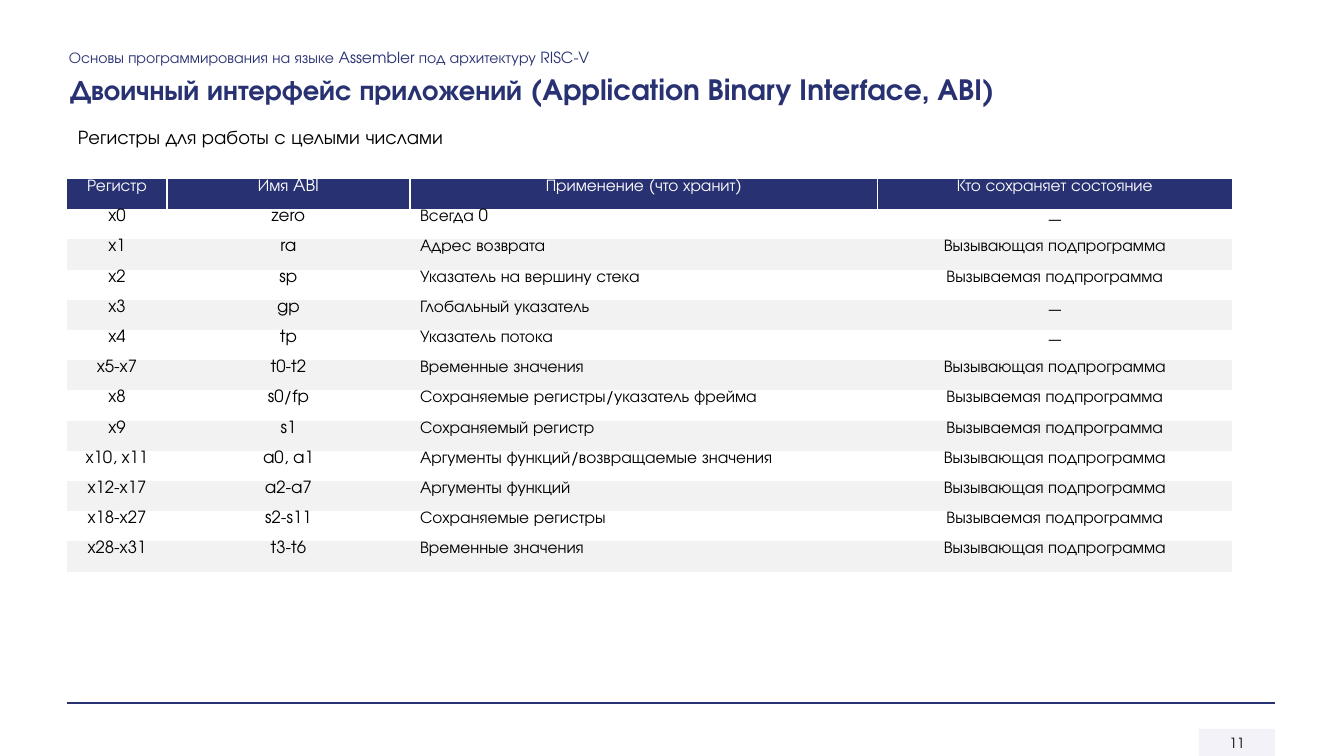
from lxml.etree import SubElement
from pptx import Presentation
from pptx.dml.color import RGBColor
from pptx.enum.shapes import MSO_CONNECTOR as CONN, MSO_SHAPE as SHAPE
from pptx.enum.text import MSO_ANCHOR as ANCHOR, MSO_AUTO_SIZE as AUTO, PP_ALIGN as ALIGN
from pptx.oxml import parse_xml
from pptx.oxml.ns import nsdecls, qn
from pptx.util import Emu, Pt

NAVY = RGBColor(0x28, 0x32, 0x72)
BLACK = RGBColor(0, 0, 0)
WHITE = RGBColor(0xFF, 0xFF, 0xFF)
STRIPE = RGBColor(0xF2, 0xF2, 0xF2)
LILAC = RGBColor(0xF3, 0xF1, 0xF9)
FONT = "TeX Gyre Adventor"
DASH_FONT = "Calibri"
NO_STYLE = "{2D5ABB26-0587-4C30-8999-92F81FD0307C}"

DASH = "—"
CALLER = "Вызывающая подпрограмма"
CALLEE = "Вызываемая подпрограмма"
COLUMNS = [100, 243, 468, 354]
REGISTERS = [
    ("Регистр", "Имя ABI", "Применение (что хранит)", "Кто сохраняет состояние"),
    ("x0", "zero", "Всегда 0", DASH),
    ("x1", "ra", "Адрес возврата", CALLER),
    ("x2", "sp", "Указатель на вершину стека", CALLEE),
    ("x3", "gp", "Глобальный указатель", DASH),
    ("x4", "tp", "Указатель потока", DASH),
    ("x5-x7", "t0-t2", "Временные значения", CALLER),
    ("x8", "s0/fp", "Сохраняемые регистры/указатель фрейма", CALLEE),
    ("x9", "s1", "Сохраняемый регистр", CALLEE),
    ("x10, x11", "a0, a1", "Аргументы функций/возвращаемые значения", CALLER),
    ("x12-x17", "a2-a7", "Аргументы функций", CALLER),
    ("x18-x27", "s2-s11", "Сохраняемые регистры", CALLEE),
    ("x28-x31", "t3-t6", "Временные значения", CALLER),
]


def px(n):
    """Turn slide pixels into EMU."""
    return Emu(round(n * 914400 / 100.8))


def write(tf, text, size, color, align=ALIGN.LEFT, bold=False, font=FONT):
    """Put one formatted run into the first paragraph."""
    p = tf.paragraphs[0]
    p.alignment = align
    r = p.add_run()
    r.text = text
    r.font.name = font
    r.font.size = Pt(size)
    r.font.bold = bold
    r.font.color.rgb = color


def add_label(s, box, text, size, color, wrap):
    """Add a single-line text box."""
    tf = s.shapes.add_textbox(*map(px, box)).text_frame
    tf.word_wrap = wrap
    write(tf, text, size, color)


def set_title(s, box, text):
    """Move the title placeholder and fill it."""
    sp = s.shapes.title
    sp.left, sp.top, sp.width, sp.height = map(px, box)
    tf = sp.text_frame
    tf.word_wrap = False
    tf.auto_size = AUTO.NONE
    tf.vertical_anchor = ANCHOR.TOP
    write(tf, text, 20, NAVY, bold=True)


def add_page_number(s, box, text):
    """Add the slightly transparent page number plate."""
    sp = s.shapes.add_shape(SHAPE.RECTANGLE, *map(px, box))
    sp.shadow.inherit = False
    sp.fill.solid()
    sp.fill.fore_color.rgb = LILAC
    color = sp.fill._xPr.find(".//" + qn("a:srgbClr"))
    SubElement(color, qn("a:alpha"), val="90000")
    sp.line.fill.background()
    sp.text_frame.vertical_anchor = ANCHOR.MIDDLE
    write(sp.text_frame, text, 10, BLACK, ALIGN.CENTER)


def add_rule(s, x1, x2, y):
    """Add the horizontal footer line."""
    line = s.shapes.add_connector(CONN.STRAIGHT, px(x1), px(y), px(x2), px(y))
    line.line.color.rgb = NAVY
    line.line.width = Pt(1)
    SubElement(line._element.spPr, qn("a:effectLst"))


def add_border(cell, side, index):
    """Draw a white border on one side of a cell."""
    ln = parse_xml(f'<a:{side} {nsdecls("a")} w="12700"><a:solidFill>'
                   f'<a:srgbClr val="{WHITE}"/></a:solidFill></a:{side}>')
    cell._tc.get_or_add_tcPr().insert(index, ln)


def fill_cell(cell, text, row, col):
    """Format one table cell by its place in the grid."""
    header = row == 0
    cell.margin_top = cell.margin_bottom = 0
    cell.vertical_anchor = ANCHOR.TOP
    if header or row % 2 == 0:
        cell.fill.solid()
        cell.fill.fore_color.rgb = NAVY if header else STRIPE
    else:
        cell.fill.background()
    if header:
        sides = ["lnL"] * (col > 0) + ["lnR"] * (col < len(COLUMNS) - 1)
        for i, side in enumerate(sides):
            add_border(cell, side, i)
    align = ALIGN.LEFT if col == 2 and not header else ALIGN.CENTER
    write(cell.text_frame, text, 12, WHITE if header else BLACK, align,
          font=DASH_FONT if text == DASH else FONT)


def add_register_table(s, left, top, height):
    """Add the striped register table."""
    frame = s.shapes.add_table(len(REGISTERS), len(COLUMNS), px(left), px(top),
                               px(sum(COLUMNS)), px(height))
    table = frame.table
    table.horz_banding = False
    frame._element.find(".//" + qn("a:tableStyleId")).text = NO_STYLE
    for column, width in zip(table.columns, COLUMNS):
        column.width = px(width)
    for i, values in enumerate(REGISTERS):
        table.rows[i].height = px(height / len(REGISTERS))
        for j, text in enumerate(values):
            fill_cell(table.cell(i, j), text, i, j)


def main():
    """Build the slide and save it."""
    prs = Presentation()
    prs.slide_width, prs.slide_height = px(1344), px(756)
    s = prs.slides.add_slide(prs.slide_layouts[5])
    add_page_number(s, (1199, 729, 76, 27), "11")
    add_rule(s, 67, 1275, 703)
    add_label(s, (59, 43, 1032, 29),
              "Основы программирования на языке Assembler под архитектуру RISC-V",
              11, NAVY, True)
    set_title(s, (60, 67, 966, 44),
              "Двоичный интерфейс приложений (Application Binary Interface, ABI)")
    add_register_table(s, 67, 179, 393)
    add_label(s, (68, 120, 396, 34), "Регистры для работы с целыми числами",
              14, BLACK, False)
    prs.save("out.pptx")


if __name__ == "__main__":
    main()
